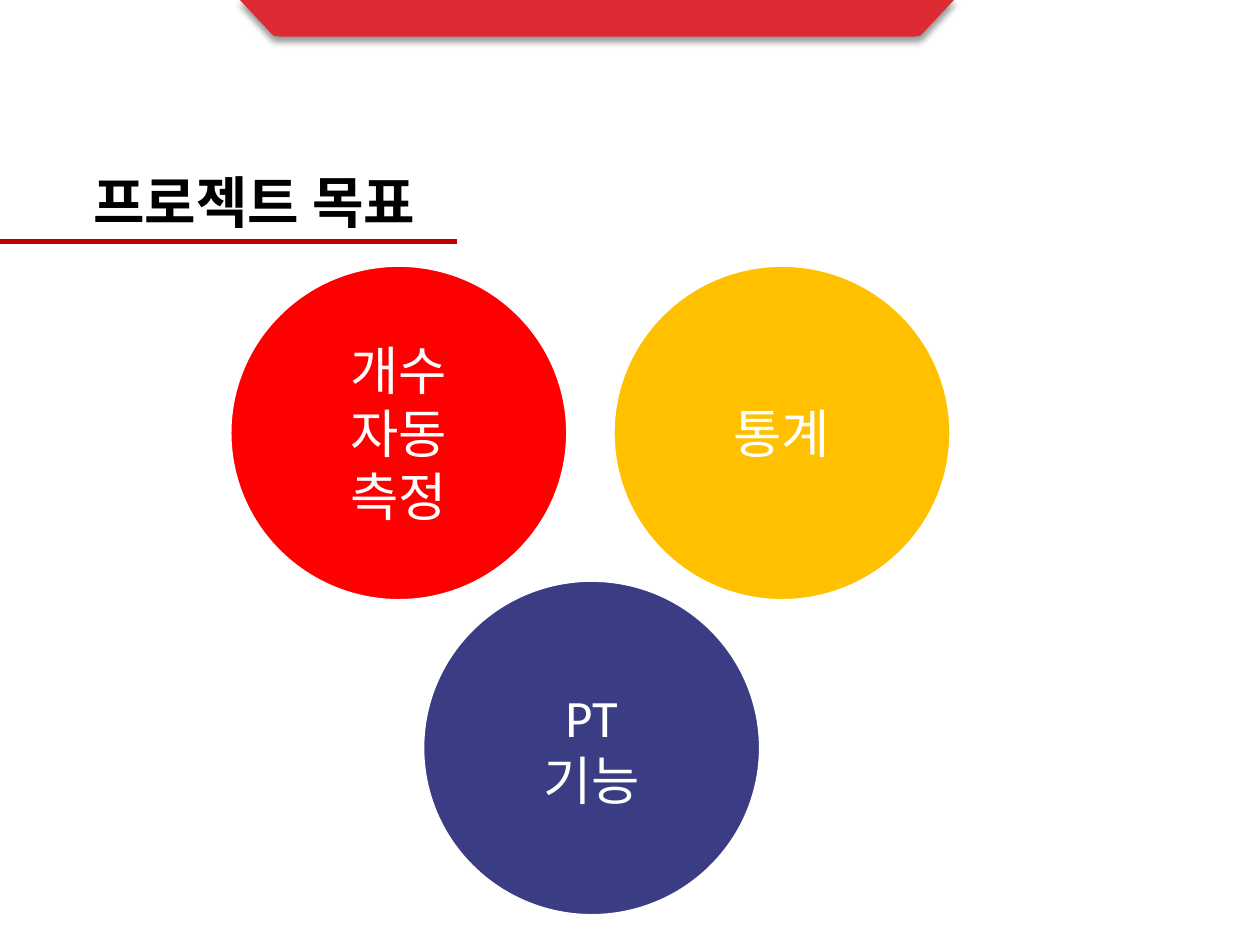
"""Build the project goals slide with a banner, a heading and three circles."""
import pptx
import pptx.dml.color
import pptx.enum.shapes
import pptx.enum.text
import pptx.oxml
import pptx.oxml.ns
import pptx.util

Pt = pptx.util.Pt
RGBColor = pptx.dml.color.RGBColor
MSO_SHAPE = pptx.enum.shapes.MSO_SHAPE
MSO_CONNECTOR = pptx.enum.shapes.MSO_CONNECTOR
MSO_ANCHOR = pptx.enum.text.MSO_ANCHOR
PP_ALIGN = pptx.enum.text.PP_ALIGN

BLACK = RGBColor(0x00, 0x00, 0x00)
WHITE = RGBColor(0xFF, 0xFF, 0xFF)
BANNER_RED = RGBColor(0xDE, 0x2A, 0x33)
RULE_RED = RGBColor(0xC0, 0x00, 0x00)
RED = RGBColor(0xFF, 0x00, 0x00)
AMBER = RGBColor(0xFF, 0xC0, 0x00)
NAVY = RGBColor(0x3A, 0x3C, 0x84)
FONT = "Calibri"

TITLE = "프로젝트 목표"
GOALS = [
    (["통계"], AMBER, 350.8, 152),
    (["개수", "자동", "측정"], RED, 131.8, 152),
    (["PT", "기능"], NAVY, 242, 332),
]
CIRCLE_W, CIRCLE_H = 192.2, 190.8
BANNER_CENTER = 341.1
BANNER_HALF = [(181.5, 20.9), (184.8, 20.4), (186.5, 18.7), (204.7, -0.7)]
SHADOW = (
    '<a:outerShdw %s blurRad="%d" dist="%d" dir="5400000" algn="t" rotWithShape="0">'
    '<a:srgbClr val="000000"><a:alpha val="40000"/></a:srgbClr></a:outerShdw>'
)


def set_font(p, size, color, bold=False):
    p.font.name = FONT
    p.font.size = Pt(size)
    p.font.bold = bold
    p.font.color.rgb = color


def add_banner(s):
    right = [(BANNER_CENTER + x, y) for x, y in BANNER_HALF]
    left = [(BANNER_CENTER - x, y) for x, y in reversed(BANNER_HALF)]
    points = [(Pt(x), Pt(y)) for x, y in right + left]
    builder = s.shapes.build_freeform(*points[0])
    builder.add_line_segments(points[1:], close=True)
    sp = builder.convert_to_shape()
    sp.fill.solid()
    sp.fill.fore_color.rgb = BANNER_RED
    sp.line.fill.background()
    sp.shadow.inherit = False
    effects = sp.element.spPr.find(pptx.oxml.ns.qn("a:effectLst"))
    effects.append(pptx.oxml.parse_xml(SHADOW % (pptx.oxml.ns.nsdecls("a"), Pt(4), Pt(3))))


def add_rule(s):
    line = s.shapes.add_connector(MSO_CONNECTOR.STRAIGHT, Pt(0), Pt(138.2), Pt(261.4), Pt(138.2))
    line.line.color.rgb = RULE_RED
    line.line.width = Pt(3)
    line.element.spPr.append(pptx.oxml.parse_xml("<a:effectLst %s/>" % pptx.oxml.ns.nsdecls("a")))


def add_title(s):
    sp = s.shapes.title
    sp.left, sp.top, sp.width, sp.height = Pt(46.1), Pt(92.2), Pt(216.7), Pt(44.6)
    tf = sp.text_frame
    tf.text = TITLE
    tf.word_wrap = True
    tf.auto_size = pptx.enum.text.MSO_AUTO_SIZE.NONE
    tf.vertical_anchor = MSO_ANCHOR.TOP
    p = tf.paragraphs[0]
    p.alignment = PP_ALIGN.LEFT
    set_font(p, 32, BLACK, True)


def add_goal(s, lines, color, left, top):
    sp = s.shapes.add_shape(MSO_SHAPE.OVAL, Pt(left), Pt(top), Pt(CIRCLE_W), Pt(CIRCLE_H))
    sp.shadow.inherit = False
    sp.fill.solid()
    sp.fill.fore_color.rgb = color
    sp.line.color.rgb = WHITE
    sp.line.width = Pt(1)
    tf = sp.text_frame
    tf.text = "\n".join(lines)
    tf.word_wrap = True
    tf.vertical_anchor = MSO_ANCHOR.MIDDLE
    for p in tf.paragraphs:
        p.alignment = PP_ALIGN.CENTER
        set_font(p, 30, WHITE)


def main():
    prs = pptx.Presentation()
    prs.slide_width, prs.slide_height = Pt(720), Pt(540)
    s = prs.slides.add_slide(prs.slide_layouts[5])
    add_banner(s)
    add_rule(s)
    add_title(s)
    for goal in GOALS:
        add_goal(s, *goal)
    prs.save("out.pptx")


if __name__ == "__main__":
    main()
